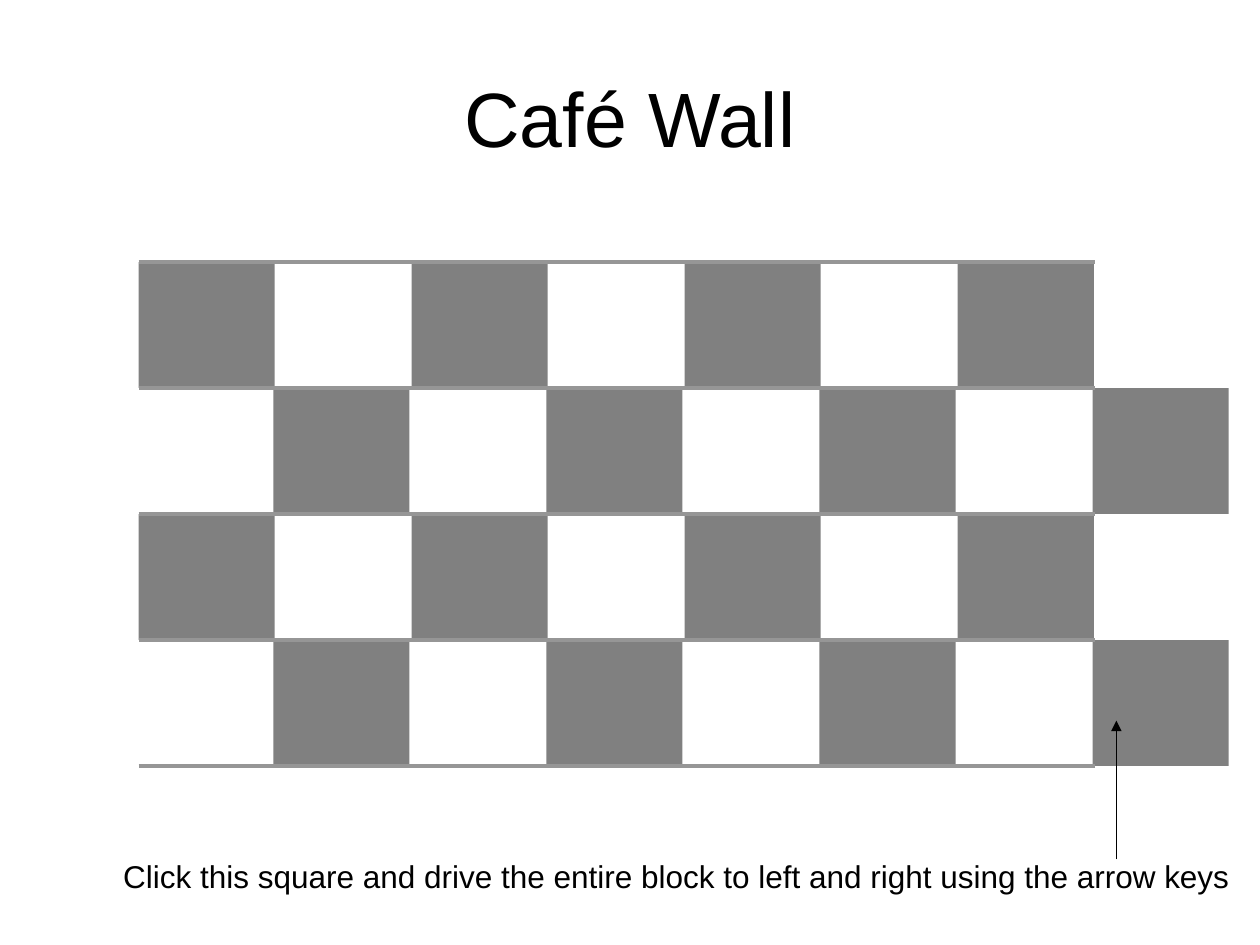
from lxml import etree
from pptx import Presentation, util as u
from pptx.dml.color import RGBColor
from pptx.enum import shapes, text
from pptx.oxml.ns import qn

COLORS = {"tile": "808080", "mortar": "969696", "ink": "000000"}
TILE_W, ROW_H = 1.08, 1
LEFT, TOP, RIGHT = 1.1, 2.08, 8.69
SHIFT, PITCH = 1.07, 2.167
ROWS, TILES = 4, 4


def box(*lengths):
    return [u.Inches(n) for n in lengths]


def color(name):
    return RGBColor.from_string(COLORS[name])


def write(sp, words, size, align, **frame):
    tf = sp.text_frame
    for name, value in frame.items():
        setattr(tf, name, value)
    p = tf.paragraphs[0]
    p.alignment = align
    r = p.add_run()
    r.text = words
    for name, value in {"name": "Arial", "size": u.Pt(size)}.items():
        setattr(r.font, name, value)
    r.font.color.rgb = color("ink")


def add_title(s, words):
    sp = s.shapes.title
    sp.left, sp.top, sp.width, sp.height = box(0.5, 0.3, 9, 1.25)
    write(sp, words, 44, text.PP_ALIGN.CENTER,
          vertical_anchor=text.MSO_ANCHOR.MIDDLE)


def add_tile(parent, row, col):
    x = LEFT + row % 2 * SHIFT + col * PITCH
    sp = parent.add_shape(shapes.MSO_SHAPE.RECTANGLE,
                          *box(x, TOP + row * ROW_H, TILE_W, ROW_H))
    sp.shadow.inherit = False
    sp.fill.solid()
    sp.fill.fore_color.rgb = color("tile")
    sp.line.fill.background()


def add_line(s, start, end, name, width, arrow=False):
    line = s.shapes.add_connector(shapes.MSO_CONNECTOR.STRAIGHT,
                                  *box(*start, *end))
    line.line.color.rgb = color(name)
    line.line.width = u.Pt(width)
    if arrow:
        etree.SubElement(line.line._get_or_add_ln(), qn("a:tailEnd"),
                         type="triangle")
    etree.SubElement(line._element.spPr, qn("a:effectLst"))


def add_caption(s, words):
    sp = s.shapes.add_textbox(*box(0.88, 6.75, 9.07, 0.4))
    write(sp, words, 18, text.PP_ALIGN.LEFT, word_wrap=False,
          auto_size=text.MSO_AUTO_SIZE.SHAPE_TO_FIT_TEXT)


def add_wall(s):
    for row in range(0, ROWS, 2):
        for col in range(TILES):
            add_tile(s.shapes, row, col)
    block = s.shapes.add_group_shape()
    for row in range(1, ROWS, 2):
        for col in range(TILES):
            add_tile(block.shapes, row, col)
    for row in range(ROWS + 1):
        y = TOP + row * ROW_H
        add_line(s, (LEFT, y), (RIGHT, y), "mortar", 2.25)


def main():
    prs = Presentation()
    prs.slide_width, prs.slide_height = box(10, 7.5)
    s = prs.slides.add_slide(prs.slide_layouts[5])
    add_title(s, "Café Wall")
    add_wall(s)
    add_line(s, (8.86, 6.82), (8.86, 5.72), "ink", 0.75, arrow=True)
    add_caption(s, "Click this square and drive the entire block "
                   "to left and right using the arrow keys")
    prs.save("out.pptx")


main()
